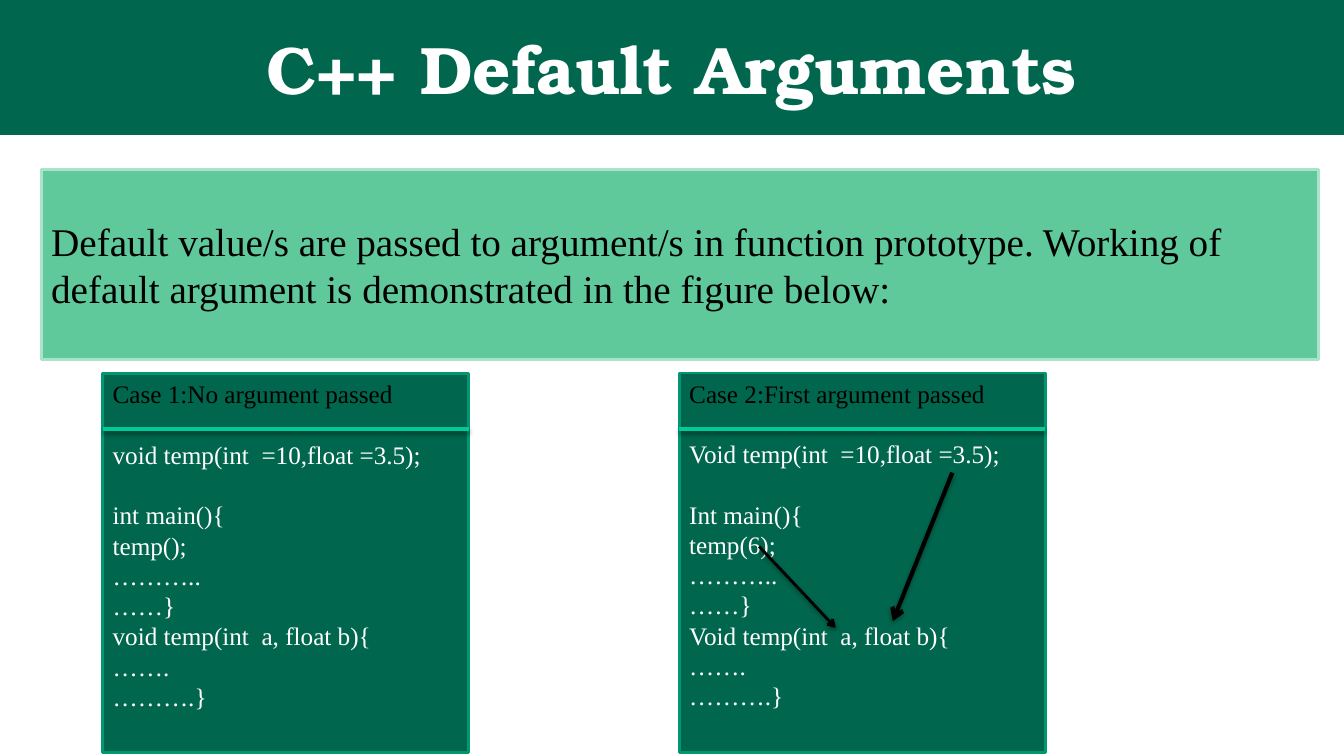
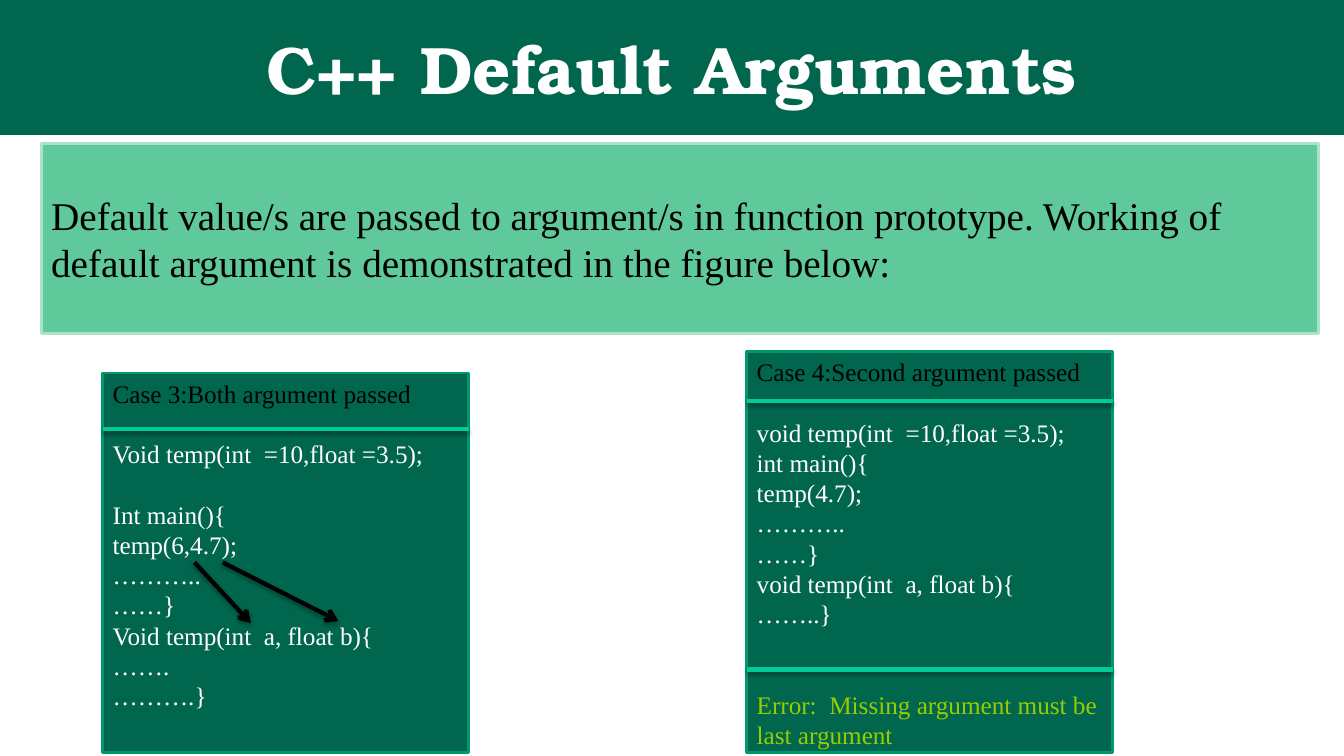
import pptx
import pptx.dml.color
import pptx.enum.shapes
import pptx.enum.text
import pptx.oxml
import pptx.oxml.ns
import pptx.util

Cm = pptx.util.Cm
Pt = pptx.util.Pt
RGBColor = pptx.dml.color.RGBColor
Anchor = pptx.enum.text.MSO_ANCHOR
Align = pptx.enum.text.PP_ALIGN

DARK_GREEN = RGBColor(0x00, 0x66, 0x4D)
EDGE_GREEN = RGBColor(0x00, 0x97, 0x71)
RULE_GREEN = RGBColor(0x00, 0xCC, 0x99)
LIGHT_GREEN = RGBColor(0x60, 0xC9, 0x9C)
PALE_GREEN = RGBColor(0xAA, 0xE2, 0xCA)
LIME = RGBColor(0x99, 0xCC, 0x00)
BLACK = RGBColor(0x00, 0x00, 0x00)
WHITE = RGBColor(0xFF, 0xFF, 0xFF)

TITLE_FONT = "TeX Gyre Bonum"
BODY_FONT = "Times New Roman"
PAGE_WIDTH, PAGE_HEIGHT = 33.87, 19.05
CARD_WIDTH, CARD_BOTTOM = 9.22, 18.97
CODE_SIZE = 18
CODE_LINE = 21.6  # height of one line of code, in points

TITLE = "C++ Default Arguments"
INTRO = ("Default value/s are passed to argument/s in function prototype. "
         "Working of default argument is demonstrated in the figure below:")

SHADOW = (
    '<a:effectLst xmlns:a="http://schemas.openxmlformats.org/drawingml/2006/main">'
    '<a:outerShdw blurRad="40000" dist="23000" dir="5400000" rotWithShape="0">'
    '<a:srgbClr val="000000"><a:alpha val="35000"/></a:srgbClr>'
    '</a:outerShdw></a:effectLst>')


def program(call, void="void", integer="int"):
    """Code lines of a case whose main function makes the given call."""
    return [f"{void} temp(int  =10,float =3.5);", f"{integer} main(){{", call,
            "………..", "……}", f"{void} temp(int  a, float b){{", "…….", "……….}"]


class Presenter:
    """Holds the style, the deck and the page being drawn."""

    def __init__(self):
        self.deck = pptx.Presentation()
        self.deck.slide_width = Cm(PAGE_WIDTH)
        self.deck.slide_height = Cm(PAGE_HEIGHT)
        self.page = None

    def start_page(self, intro_top):
        self.page = self.deck.slides.add_slide(self.deck.slide_layouts[6])
        band = self.box(0, 0, PAGE_WIDTH, 3.4, DARK_GREEN)
        self.paragraph(band, TITLE, 48, WHITE, TITLE_FONT, True, Align.CENTER)
        intro = self.box(1.04, intro_top, 32.18, 4.8, LIGHT_GREEN, PALE_GREEN)
        self.paragraph(intro, INTRO, 28, BLACK)

    def box(self, left, top, width, height, fill, edge=None, anchor=Anchor.MIDDLE):
        box = self.page.shapes.add_shape(
            pptx.enum.shapes.MSO_SHAPE.RECTANGLE,
            Cm(left), Cm(top), Cm(width), Cm(height))
        box.shadow.inherit = False
        box.fill.solid()
        box.fill.fore_color.rgb = fill
        if edge is None:
            box.line.fill.background()
        else:
            box.line.color.rgb = edge
            box.line.width = Pt(2)
        box.text_frame.word_wrap = True
        box.text_frame.vertical_anchor = anchor
        return box

    def paragraph(self, box, text, size, color, font=BODY_FONT, bold=False,
                  align=Align.LEFT, before=0):
        """Add one paragraph, using the first one while it is still empty."""
        frame = box.text_frame
        para = frame.add_paragraph() if frame.text else frame.paragraphs[0]
        para.alignment = align
        para.space_before = Pt(before)
        span = para.add_run()
        span.text = text
        span.font.name = font
        span.font.size = Pt(size)
        span.font.bold = bold
        span.font.color.rgb = color

    def line(self, start, end, color, width=3):
        connector = self.page.shapes.add_connector(
            pptx.enum.shapes.MSO_CONNECTOR.STRAIGHT,
            *(Cm(value) for value in (*start, *end)))
        connector.line.color.rgb = color
        connector.line.width = Pt(width)
        connector._element.spPr.append(pptx.oxml.parse_xml(SHADOW))
        return connector

    def rule(self, left, top):
        self.line((left, top), (left + CARD_WIDTH, top), RULE_GREEN)

    def arrow(self, start, end, width=3):
        stroke = self.line(start, end, BLACK, width).line._get_or_add_ln()
        tip = pptx.oxml.parse_xml(
            f'<a:tailEnd {pptx.oxml.ns.nsdecls("a")} type="arrow"/>')
        stroke.append(tip)

    def case(self, left, top, rule_top, heading, code, gap_after=None, error=None):
        """Card with a heading, a rule, code and, if given, an error."""
        card = self.box(left, top, CARD_WIDTH, CARD_BOTTOM - top,
                        DARK_GREEN, EDGE_GREEN, Anchor.TOP)
        self.paragraph(card, heading, CODE_SIZE, BLACK)
        for index, text in enumerate(code):
            before = CODE_LINE if index in (0, gap_after) else 0
            self.paragraph(card, text, CODE_SIZE, WHITE, before=before)
        if error:
            self.paragraph(card, error, CODE_SIZE, LIME, before=2 * CODE_LINE)
        self.rule(left, rule_top)


def main():
    show = Presenter()

    show.start_page(intro_top=4.27)
    show.case(2.59, 9.42, 10.82, "Case 1:No argument passed",
              program("temp();"), gap_after=1)
    show.case(17.12, 9.4, 10.82, "Case 2:First argument passed",
              program("temp(6);", "Void", "Int"), gap_after=1)
    show.arrow((19.13, 13.77), (21.06, 15.82), width=2)
    show.arrow((24, 11.91), (22.5, 15.65))

    show.start_page(intro_top=3.61)
    show.case(2.59, 9.4, 10.82, "Case 3:Both argument passed",
              program("temp(6,4.7);", "Void", "Int"), gap_after=1)
    show.case(18.82, 8.86, 10.11, "Case 4:Second argument passed",
              program("temp(4.7);")[:-2] + ["……..}"],
              error="Error:  Missing argument must be last argument")
    show.arrow((4.9, 14.17), (6.32, 15.7))
    show.arrow((5.61, 14.17), (8.53, 15.65))
    show.rule(18.82, 16.87)

    show.deck.save("out.pptx")


if __name__ == "__main__":
    main()
